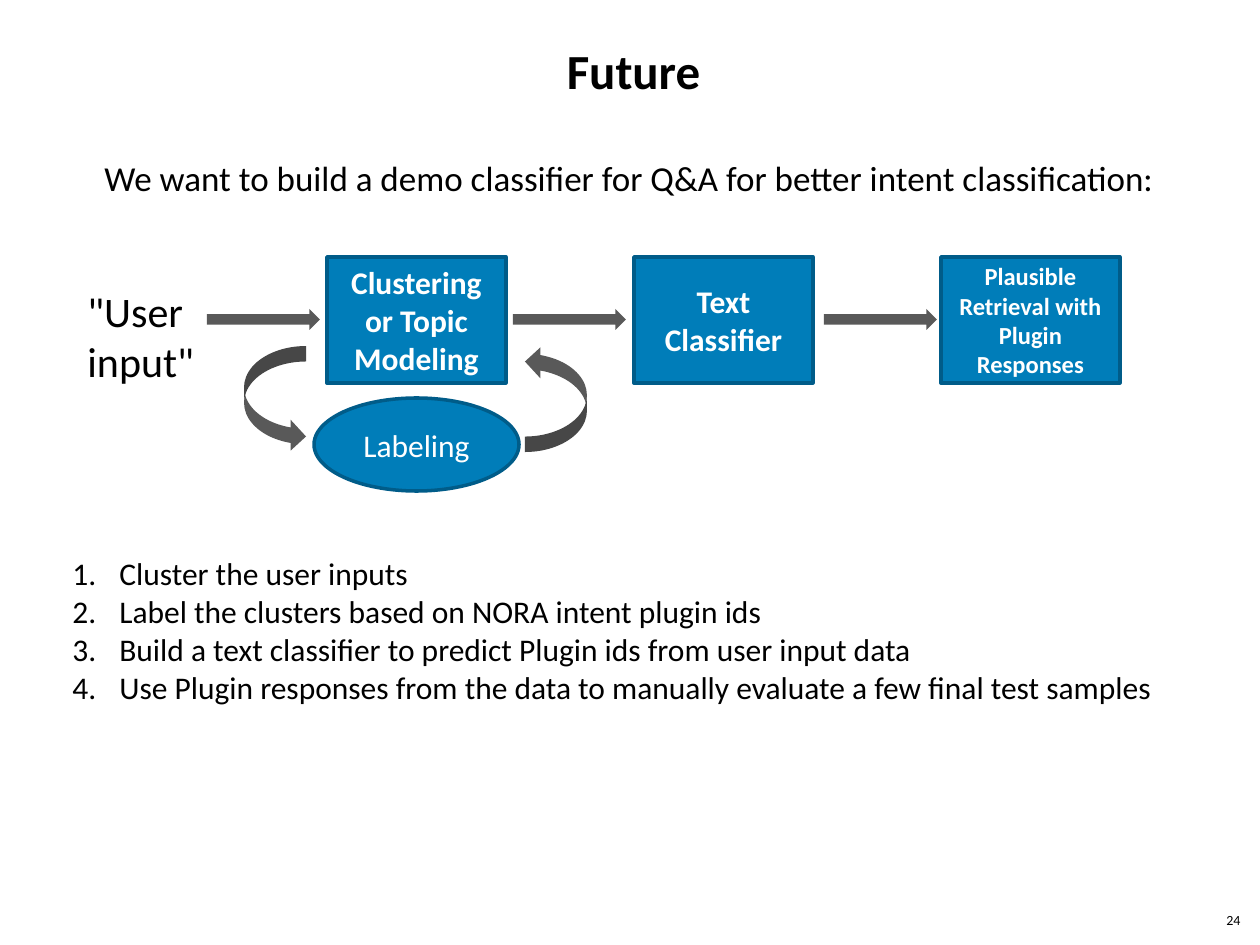
from lxml.etree import SubElement
from pptx import Presentation
from pptx.dml.color import RGBColor
from pptx.enum.shapes import MSO_SHAPE as Preset
from pptx.enum.text import MSO_ANCHOR as Anchor, PP_ALIGN as Align
from pptx.oxml.ns import qn
from pptx.util import Emu, Pt

COLORS = {
    "ink": "000000",
    "white": "FFFFFF",
    "blue": "007DB9",
    "blue_edge": "005C89",
    "arrow": "595959",
}
EMU_PER_PX = 914400 / 126

STEP_LEFT, STEP_TOP, STEP_PITCH = 327, 257, 307
STEP_WIDTH, STEP_HEIGHT = 179, 126
STEPS = [
    ("Clustering or Topic Modeling", 18),
    ("Text Classifier", 18),
    ("Plausible Retrieval with Plugin Responses", 14),
]
FLOW_ARROW_LEFTS = [207, 513, 824]
LOOP_ARROWS = [(503, 270), (222, 90)]
PLAN = [
    "Cluster the user inputs",
    "Label the clusters based on NORA intent plugin ids",
    "Build a text classifier to predict Plugin ids from user input data",
    "Use Plugin responses from the data to manually evaluate a few final test samples",
]


def px(length):
    return Emu(round(length * EMU_PER_PX))


def color(name):
    return RGBColor.from_string(COLORS[name])


def style(paragraph, size, ink="ink", bold=False, align=Align.LEFT):
    paragraph.alignment = align
    font = paragraph.font
    font.name, font.size, font.bold = "Calibri", Pt(size), bold
    font.color.rgb = color(ink)


def number(paragraph):
    properties = paragraph._p.get_or_add_pPr()
    indent = px(47)
    properties.set("marL", str(indent))
    properties.set("indent", str(-indent))
    SubElement(properties, qn("a:buFont"), typeface="+mj-lt")
    SubElement(properties, qn("a:buAutoNum"), type="arabicPeriod")


def add_text(slide, box, lines, size, bold=False, align=Align.LEFT,
             anchor=Anchor.TOP, numbered=False):
    frame = slide.shapes.add_textbox(*map(px, box)).text_frame
    frame.word_wrap = True
    frame.vertical_anchor = anchor
    frame.text = "\n".join(lines)
    for paragraph in frame.paragraphs:
        if numbered:
            number(paragraph)
        style(paragraph, size, bold=bold, align=align)


def add_filled(slide, preset, box, fill):
    shape = slide.shapes.add_shape(preset, *map(px, box))
    shape.shadow.inherit = False
    shape.fill.solid()
    shape.fill.fore_color.rgb = color(fill)
    return shape


def add_node(slide, preset, box, label, size, bold):
    node = add_filled(slide, preset, box, "blue")
    node.line.color.rgb = color("blue_edge")
    node.line.width = Pt(2)
    frame = node.text_frame
    frame.word_wrap = True
    frame.vertical_anchor = Anchor.MIDDLE
    frame.text = label
    style(frame.paragraphs[0], size, "white", bold, Align.CENTER)


def add_arrow(slide, preset, box, rotation=0):
    arrow = add_filled(slide, preset, box, "arrow")
    arrow.line.fill.background()
    arrow.rotation = rotation


def main():
    deck = Presentation()
    deck.slide_width, deck.slide_height = px(1260), px(945)
    slide = deck.slides.add_slide(deck.slide_layouts[6])

    add_text(slide, (1210, 900, 43, 39), ["24"], 8,
             align=Align.RIGHT, anchor=Anchor.MIDDLE)
    add_text(slide, (60, 150, 1138, 55),
             ["We want to build a demo classifier for Q&A for better intent classification:"],
             20, align=Align.CENTER)
    add_text(slide, (60, 34, 1147, 72), ["Future"], 28, bold=True, align=Align.CENTER)
    add_text(slide, (75, 279, 140, 115), ['"User input"'], 24)

    for index, (label, size) in enumerate(STEPS):
        left = STEP_LEFT + index * STEP_PITCH
        add_node(slide, Preset.RECTANGLE, (left, STEP_TOP, STEP_WIDTH, STEP_HEIGHT),
                 label, size, True)
    for left in FLOW_ARROW_LEFTS:
        add_arrow(slide, Preset.RIGHT_ARROW, (left, 309, 113, 21))

    add_node(slide, Preset.OVAL, (314, 398, 205, 93), "Labeling", 18, False)
    for left, rotation in LOOP_ARROWS:
        add_arrow(slide, Preset.CURVED_UP_ARROW, (left, 368, 106, 62), rotation)

    add_text(slide, (60, 548, 1147, 165), PLAN, 18, numbered=True)
    deck.save("out.pptx")


if __name__ == "__main__":
    main()
